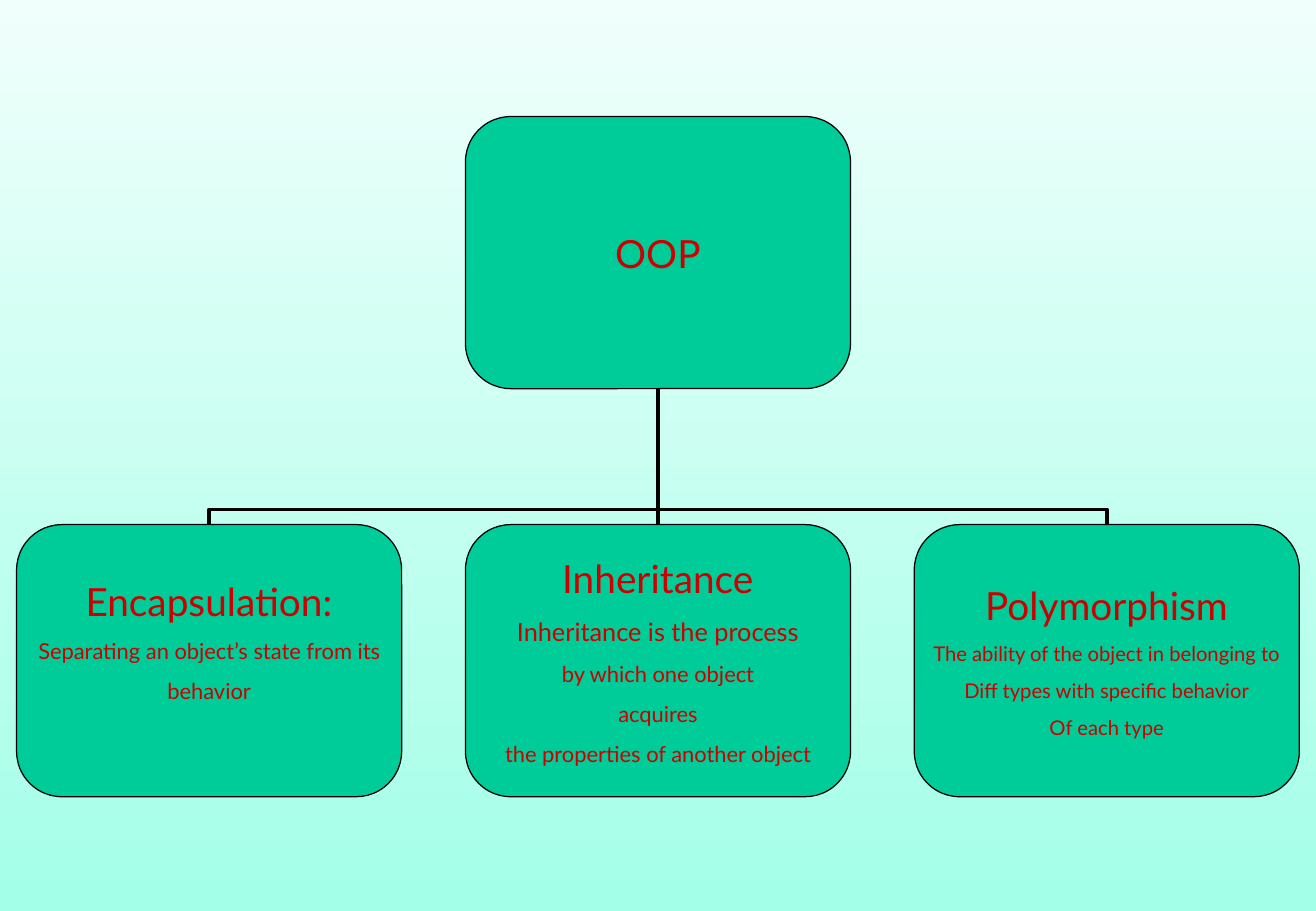
from dataclasses import dataclass
from typing import Any

from lxml import etree
from pptx import Presentation
from pptx.dml.color import RGBColor
from pptx.enum.shapes import MSO_CONNECTOR, MSO_SHAPE
from pptx.enum.text import MSO_ANCHOR, PP_ALIGN
from pptx.oxml.ns import qn
from pptx.slide import Slide
from pptx.util import Pt

ELBOW = MSO_CONNECTOR.ELBOW
STRAIGHT = MSO_CONNECTOR.STRAIGHT
ROUNDED = MSO_SHAPE.ROUNDED_RECTANGLE
MIDDLE = MSO_ANCHOR.MIDDLE
CENTER = PP_ALIGN.CENTER

COLORS = {
    "sky_top": "F0FFFB",
    "sky_bottom": "A3FFE8",
    "box": "00CC99",
    "line": "000000",
    "text": "CC0000",
}
FONT = "Lato"
TITLE_SIZE = 23
SPACE_RATIO = 0.625

SLIDE_WIDTH, SLIDE_HEIGHT = 780.48, 540
BOX_WIDTH, BOX_HEIGHT = 228.4, 161.3
ROOT_TOP, BRANCH_TOP = 69.1, 311
ROOT_BOTTOM = ROOT_TOP + BOX_HEIGHT
CENTER_X = SLIDE_WIDTH / 2
PITCH = 266.2
ELBOW_BEND = 0.111

FRAME_FORMAT = {
    "margin_left": 0,
    "margin_right": 0,
    "margin_top": 0,
    "word_wrap": False,
    "vertical_anchor": MIDDLE,
}


@dataclass(frozen=True)
class Line:
    text: str
    size: float


@dataclass(frozen=True)
class Box:
    column: int
    top: float
    lines: tuple[Line, ...]
    bottom_inset: float = 0


BOXES = (
    Box(0, ROOT_TOP, (Line("OOP", TITLE_SIZE),)),
    Box(-1, BRANCH_TOP, (
        Line("Encapsulation:", TITLE_SIZE),
        Line("Separating an object’s state from its", 13),
        Line("behavior", 13),
    ), 23.7),
    Box(0, BRANCH_TOP, (
        Line("Inheritance", TITLE_SIZE),
        Line("Inheritance is the process", 15),
        Line("by which one object", 13),
        Line("acquires", 13),
        Line("the properties of another object", 13),
    )),
    Box(1, BRANCH_TOP, (
        Line("Polymorphism", TITLE_SIZE),
        Line("The ability of the object in belonging to", 12),
        Line("Diff types with specific behavior", 12),
        Line("Of each type", 12),
    )),
)


def color(name: str) -> RGBColor:
    return RGBColor.from_string(COLORS[name])


def apply_format(target: Any, values: dict[str, Any]) -> None:
    for name, value in values.items():
        setattr(target, name, value)


def paint_background(slide: Slide) -> None:
    fill = slide.background.fill
    fill.gradient()
    fill.gradient_angle = 270
    for stop, name in zip(fill.gradient_stops, ("sky_top", "sky_bottom")):
        stop.color.rgb = color(name)


def draw_branch(slide: Slide, column: int) -> None:
    half_drop = column * (BRANCH_TOP - ROOT_BOTTOM) / 2
    half_span = PITCH / 2 if column else (BRANCH_TOP - ROOT_BOTTOM) / 2
    middle_x = CENTER_X + column * PITCH / 2
    middle_y = (ROOT_BOTTOM + BRANCH_TOP) / 2
    connector = slide.shapes.add_connector(
        ELBOW if column else STRAIGHT,
        Pt(middle_x - half_drop), Pt(middle_y + half_span),
        Pt(middle_x + half_drop), Pt(middle_y - half_span),
    )
    connector.line.width = Pt(2.25)
    connector.line.color.rgb = color("line")
    properties = connector.element.spPr
    etree.SubElement(properties, qn("a:effectLst"))
    if column:
        angle = 270 if column > 0 else 90
        properties.find(qn("a:xfrm")).set("rot", str(angle * 60000))
        adjustments = properties.find(qn("a:prstGeom")).find(qn("a:avLst"))
        guide = etree.SubElement(adjustments, qn("a:gd"))
        guide.set("name", "adj1")
        guide.set("fmla", f"val {round(ELBOW_BEND * 100000)}")


def draw_box(slide: Slide, box: Box) -> None:
    left = CENTER_X + box.column * PITCH - BOX_WIDTH / 2
    shape = slide.shapes.add_shape(
        ROUNDED, Pt(left), Pt(box.top), Pt(BOX_WIDTH), Pt(BOX_HEIGHT))
    shape.shadow.inherit = False
    shape.fill.solid()
    shape.fill.fore_color.rgb = color("box")
    shape.line.color.rgb = color("line")
    shape.line.width = Pt(0.75)
    frame = shape.text_frame
    apply_format(frame, FRAME_FORMAT | {"margin_bottom": Pt(box.bottom_inset)})
    for index, line in enumerate(box.lines):
        paragraph = frame.add_paragraph() if index else frame.paragraphs[0]
        apply_format(paragraph, {
            "alignment": CENTER,
            "space_before": Pt(line.size * SPACE_RATIO),
        })
        run = paragraph.add_run()
        run.text = line.text
        apply_format(run.font, {"name": FONT, "size": Pt(line.size)})
        run.font.color.rgb = color("text")


def main() -> None:
    presentation = Presentation()
    presentation.slide_width = Pt(SLIDE_WIDTH)
    presentation.slide_height = Pt(SLIDE_HEIGHT)
    slide = presentation.slides.add_slide(presentation.slide_layouts[6])
    paint_background(slide)
    for column in (1, 0, -1):
        draw_branch(slide, column)
    for box in BOXES:
        draw_box(slide, box)
    presentation.save("out.pptx")


if __name__ == "__main__":
    main()
